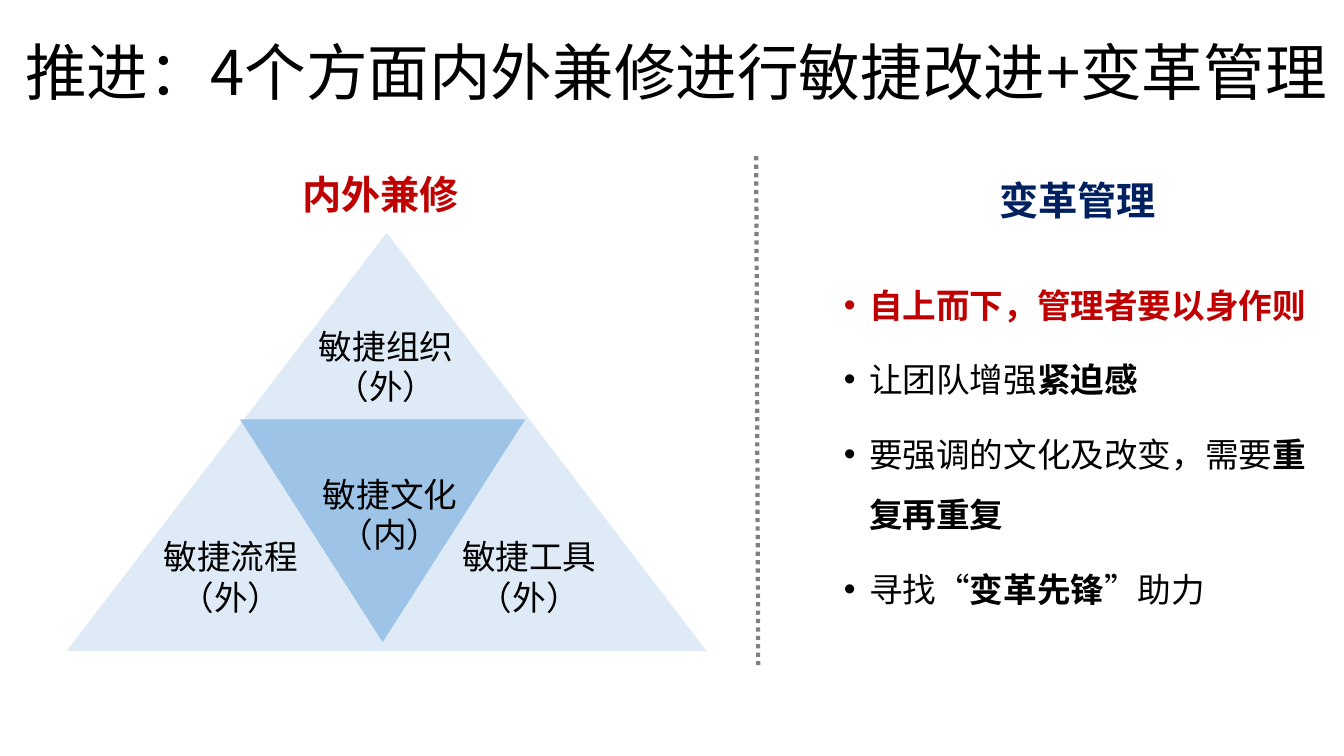
from dataclasses import dataclass

import pptx
import pptx.util
import pptx.dml.color
import pptx.enum.dml
import pptx.enum.shapes
import pptx.enum.text
import pptx.oxml.ns
from lxml import etree
from pptx.util import Inches, Pt

ALIGN = pptx.enum.text.PP_ALIGN
NO_FIT = pptx.enum.text.MSO_AUTO_SIZE.NONE


@dataclass(frozen=True)
class Theme:
    font: str = "Noto Sans CJK SC"
    title_size: int = 44
    heading_size: int = 28
    text_size: int = 24
    black: str = "000000"
    red: str = "C00000"
    navy: str = "002060"
    grey: str = "808080"
    pale_blue: str = "DEEBF7"
    mid_blue: str = "9DC3E6"


THEME = Theme()


def rgb(color):
    return pptx.dml.color.RGBColor.from_string(color)


def add_element(parent, tag, **attributes):
    element = etree.SubElement(parent, pptx.oxml.ns.qn(tag))
    for name, value in attributes.items():
        element.set(name, value)
    return element


def write(paragraph, text, size=THEME.text_size, color=THEME.black, bold=False):
    """Append a run, with the same font for Latin and East Asian text."""
    run = paragraph.add_run()
    run.text = text
    run.font.size = Pt(size)
    run.font.bold = bold
    run.font.color.rgb = rgb(color)
    run.font.name = THEME.font
    properties = run.font._element
    properties.set("lang", "zh-CN")
    add_element(properties, "a:ea", typeface=THEME.font)


def place(shape, left, top, width, height):
    shape.left, shape.top = Inches(left), Inches(top)
    shape.width, shape.height = Inches(width), Inches(height)


def set_indent(paragraph, bullet=None):
    properties = paragraph._p.get_or_add_pPr()
    indent = Inches(0.25) if bullet else 0
    properties.set("marL", str(indent))
    properties.set("indent", str(-indent))
    if bullet:
        add_element(properties, "a:buFont", typeface="Arial")
        add_element(properties, "a:buChar", char=bullet)
    else:
        add_element(properties, "a:buNone")


def add_title(slide, box):
    title = slide.shapes.title
    place(title, *box)
    frame = title.text_frame
    frame.auto_size = NO_FIT
    frame.vertical_anchor = pptx.enum.text.MSO_ANCHOR.MIDDLE
    paragraph = frame.paragraphs[0]
    paragraph.alignment = ALIGN.LEFT
    paragraph.line_spacing = 0.9
    write(paragraph, "推进：4个方面内外兼修进行敏捷改进+变革管理", size=THEME.title_size)


def add_triangle(slide, box, color, rotation=0):
    triangle = slide.shapes.add_shape(
        pptx.enum.shapes.MSO_SHAPE.ISOSCELES_TRIANGLE, *map(Inches, box))
    triangle.shadow.inherit = False
    triangle.fill.solid()
    triangle.fill.fore_color.rgb = rgb(color)
    triangle.line.fill.background()
    triangle.rotation = rotation


def add_label(slide, box, lines, wrap=True, line_spacing=1.0,
              alignment=ALIGN.CENTER, **text_format):
    frame = slide.shapes.add_textbox(*map(Inches, box)).text_frame
    frame.word_wrap = wrap
    for index, line in enumerate(lines):
        paragraph = frame.add_paragraph() if index else frame.paragraphs[0]
        paragraph.alignment = alignment
        paragraph.line_spacing = line_spacing
        write(paragraph, line, **text_format)


def add_pyramid(slide, box):
    """Heading, large triangle, inverted inner triangle and four labels."""
    left, top, width, height = box
    add_triangle(slide, (left, top + 0.9, width, height - 0.9), THEME.pale_blue)
    add_triangle(slide, (left + 1.72, top + 2.75, 2.83, 2.21), THEME.mid_blue, rotation=180)
    labels = [
        ("敏捷组织", "（外）", 2.32, 1.77),
        ("敏捷流程", "（外）", 0.78, 3.86),
        ("敏捷文化", "（内）", 2.36, 3.24),
        ("敏捷工具", "（外）", 3.74, 3.86),
    ]
    for name, side, across, down in labels:
        add_label(slide, (left + across, top + down, 1.7, 0.91), (name, side))
    add_label(slide, (left + 2.24, top, 1.77, 0.72), ("内外兼修",), wrap=False,
              line_spacing=1.5, alignment=ALIGN.LEFT,
              size=THEME.heading_size, color=THEME.red, bold=True)


def add_divider(slide, start, end):
    divider = slide.shapes.add_connector(
        pptx.enum.shapes.MSO_CONNECTOR.STRAIGHT, *map(Inches, start + end))
    divider.line.color.rgb = rgb(THEME.grey)
    divider.line.width = Pt(3)
    divider.line.dash_style = pptx.enum.dml.MSO_LINE.ROUND_DOT
    add_element(divider._element.spPr, "a:effectLst")


def add_change_list(slide, box):
    """Heading and bullets; each bullet alternates plain and bold text."""
    body = slide.placeholders[1]
    place(body, *box)
    frame = body.text_frame
    frame.auto_size = NO_FIT
    heading = frame.paragraphs[0]
    set_indent(heading)
    heading.alignment = ALIGN.CENTER
    heading.line_spacing = 1.5
    heading.space_before = Pt(0)
    write(heading, "变革管理", size=THEME.heading_size, color=THEME.navy, bold=True)
    bullets = [
        (THEME.red, ("", "自上而下，管理者要以身作则")),
        (THEME.black, ("让团队增强", "紧迫感")),
        (THEME.black, ("要强调的文化及改变，需要", "重复再重复")),
        (THEME.black, ("寻找“", "变革先锋", "”助力")),
    ]
    for index, (color, pieces) in enumerate(bullets):
        paragraph = frame.add_paragraph()
        set_indent(paragraph, bullet="•")
        paragraph.line_spacing = 1.5
        paragraph.space_before = Pt(10 if index else 29)
        for position, piece in enumerate(pieces):
            if piece:
                write(paragraph, piece, color=color, bold=position % 2 == 1)


def main():
    presentation = pptx.Presentation()
    presentation.slide_width = Inches(13.33)
    presentation.slide_height = Inches(7.5)
    slide = presentation.slides.add_slide(presentation.slide_layouts[1])
    add_title(slide, (0.15, 0.02, 13.42, 1.45))
    add_pyramid(slide, (0.66, 1.41, 6.35, 5.05))
    add_divider(slide, (7.5, 1.55), (7.52, 6.63))
    add_change_list(slide, (8.27, 1.47, 4.84, 4.76))
    presentation.save("out.pptx")


if __name__ == "__main__":
    main()
